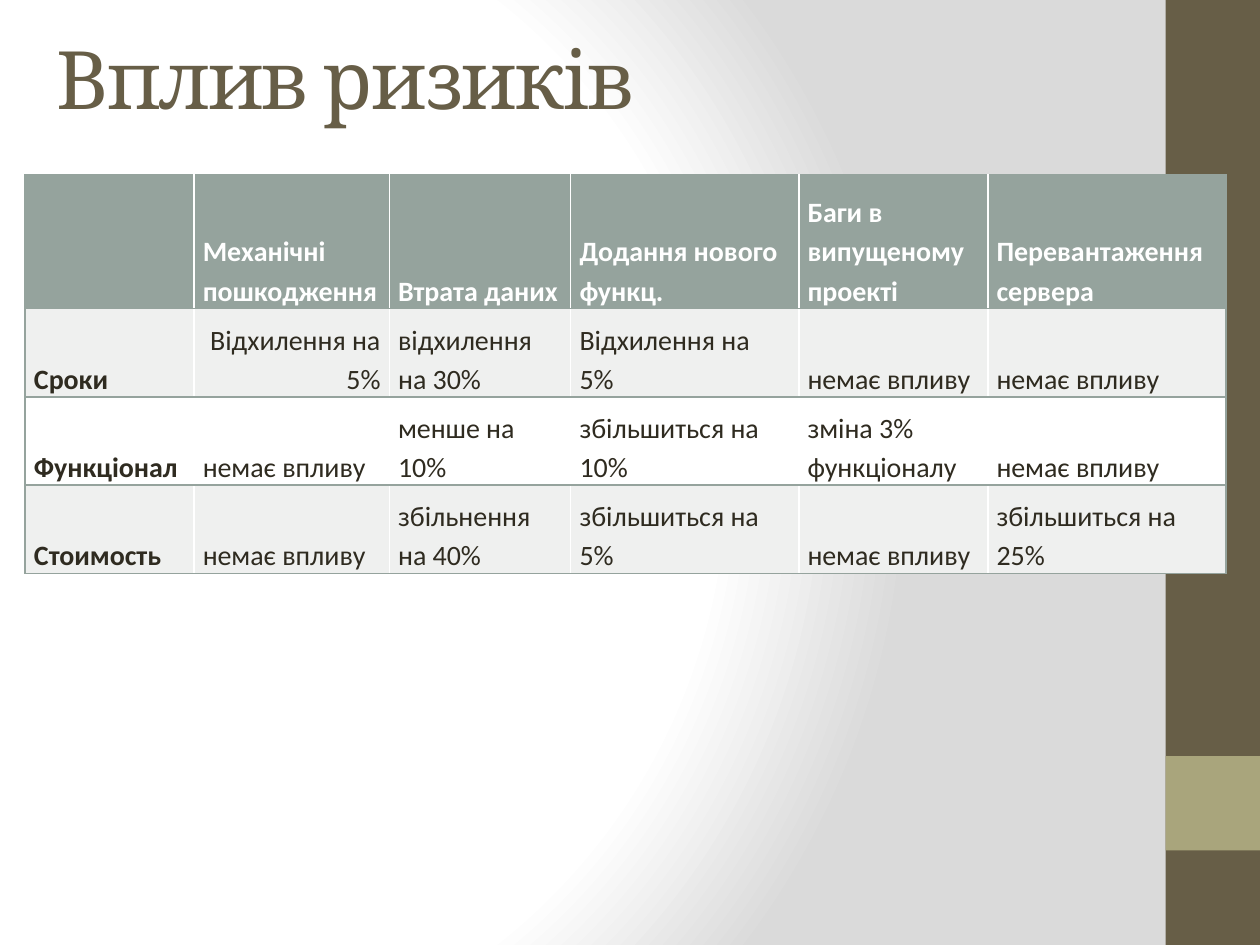
from dataclasses import dataclass
from pptx import Presentation
from pptx.dml.color import RGBColor
from pptx.enum.shapes import MSO_SHAPE
from pptx.enum.text import MSO_ANCHOR, PP_ALIGN
from pptx.oxml import parse_xml
from pptx.oxml.ns import nsdecls
from pptx.util import Inches, Pt


@dataclass(frozen=True)
class Theme:
    brown: str = "675E47"
    olive: str = "A9A57C"
    sage: str = "95A39D"
    band: str = "EFF0EF"
    white: str = "FFFFFF"
    ink: str = "2F2B20"
    grey: str = "DADADA"
    heading: str = "Cambria"
    body: str = "Calibri"
    title_size: int = 46
    cell_size: int = 16


T = Theme()
TITLE = "Вплив ризиків"
ROWS = [
    ["", "Механічні пошкодження", "Втрата даних", "Додання нового функц.",
     "Баги в випущеному проекті", "Перевантаження сервера"],
    ["Сроки", "Відхилення на 5%", "відхилення на 30%", "Відхилення на 5%",
     "немає впливу", "немає впливу"],
    ["Функціонал", "немає впливу", "менше на 10%", "збільшиться на 10%",
     "зміна 3% функціоналу", "немає впливу"],
    ["Стоимость", "немає впливу", "збільнення на 40%", "збільшиться на 5%",
     "немає впливу", "збільшиться на 25%"],
]
COL_WIDTHS = [1.34, 1.55, 1.44, 1.81, 1.5, 1.89]
ROW_HEIGHTS = [1.06, 0.7, 0.7, 0.7]
RIGHT_ALIGNED = (1, 1)
SIDEBAR = [(0, 7.5, T.brown), (6, 0.75, T.olive)]
STOPS = [(0, T.white), (75, T.white), (100, T.grey)]


def write(tf, text, font=T.body, size=T.cell_size, color=T.ink, bold=False,
          align=PP_ALIGN.LEFT, line_spacing=None, tracking=0):
    tf.word_wrap = True
    p = tf.paragraphs[0]
    p.alignment = align
    p.line_spacing = line_spacing
    p.font.size = Pt(size)
    if not text:
        return
    r = p.add_run()
    r.text = text
    r.font.name, r.font.size, r.font.bold = font, Pt(size), bold
    r.font.color.rgb = RGBColor.from_string(color)
    if tracking:
        r.font._element.set("spc", str(tracking * 100))


def set_background(s):
    stops = "".join(f'<a:gs pos="{pos * 1000}"><a:srgbClr val="{c}"/></a:gs>'
                    for pos, c in STOPS)
    s._element.cSld.insert(0, parse_xml(
        f'<p:bg {nsdecls("p", "a")}><p:bgPr><a:gradFill rotWithShape="1">'
        f'<a:gsLst>{stops}</a:gsLst><a:path path="circle">'
        '<a:fillToRect l="20000" t="50000" r="100000" b="50000"/></a:path>'
        '</a:gradFill><a:effectLst/></p:bgPr></p:bg>'))


def set_borders(cell, sides):
    tcPr = cell._tc.get_or_add_tcPr()
    for i, side in enumerate(sides):
        tcPr.insert(i, parse_xml(
            f'<a:ln{side} {nsdecls("a")} w="{Pt(1)}"><a:solidFill>'
            f'<a:srgbClr val="{T.sage}"/></a:solidFill></a:ln{side}>'))


prs = Presentation()
prs.slide_width, prs.slide_height = Inches(10), Inches(7.5)
s = prs.slides.add_slide(prs.slide_layouts[6])
set_background(s)

for top, height, color in SIDEBAR:
    sp = s.shapes.add_shape(MSO_SHAPE.RECTANGLE, Inches(9.25), Inches(top),
                            Inches(0.75), Inches(height))
    sp.shadow.inherit = False
    sp.fill.solid()
    sp.fill.fore_color.rgb = RGBColor.from_string(color)
    sp.line.fill.background()

tf = s.shapes.add_textbox(Inches(0.35), Inches(0.13), Inches(9.32), Inches(0.84)).text_frame
tf.margin_left = tf.margin_right = tf.margin_top = tf.margin_bottom = Inches(0.1)
tf.vertical_anchor = MSO_ANCHOR.TOP
write(tf, TITLE, font=T.heading, size=T.title_size, color=T.brown, tracking=-1)

table = s.shapes.add_table(len(ROWS), len(COL_WIDTHS), Inches(0.2), Inches(1.39),
                           Inches(sum(COL_WIDTHS)), Inches(sum(ROW_HEIGHTS))).table
for column, width in zip(table.columns, COL_WIDTHS):
    column.width = Inches(width)
for row, height in zip(table.rows, ROW_HEIGHTS):
    row.height = Inches(height)

last = len(COL_WIDTHS) - 1
for i, texts in enumerate(ROWS):
    fill = T.sage if i == 0 else T.band if i % 2 else T.white
    for j, text in enumerate(texts):
        cell = table.cell(i, j)
        cell.margin_left = cell.margin_right = Inches(0.07)
        cell.margin_top = cell.margin_bottom = 0
        cell.vertical_anchor = MSO_ANCHOR.BOTTOM
        cell.fill.solid()
        cell.fill.fore_color.rgb = RGBColor.from_string(fill)
        write(cell.text_frame, text, color=T.white if i == 0 else T.ink,
              bold=i == 0 or j == 0, line_spacing=1.15,
              align=PP_ALIGN.RIGHT if (i, j) == RIGHT_ALIGNED else PP_ALIGN.LEFT)
        set_borders(cell, ["L"] * (j == 0) + ["R"] * (j == last) + ["T", "B"])

prs.save("out.pptx")
